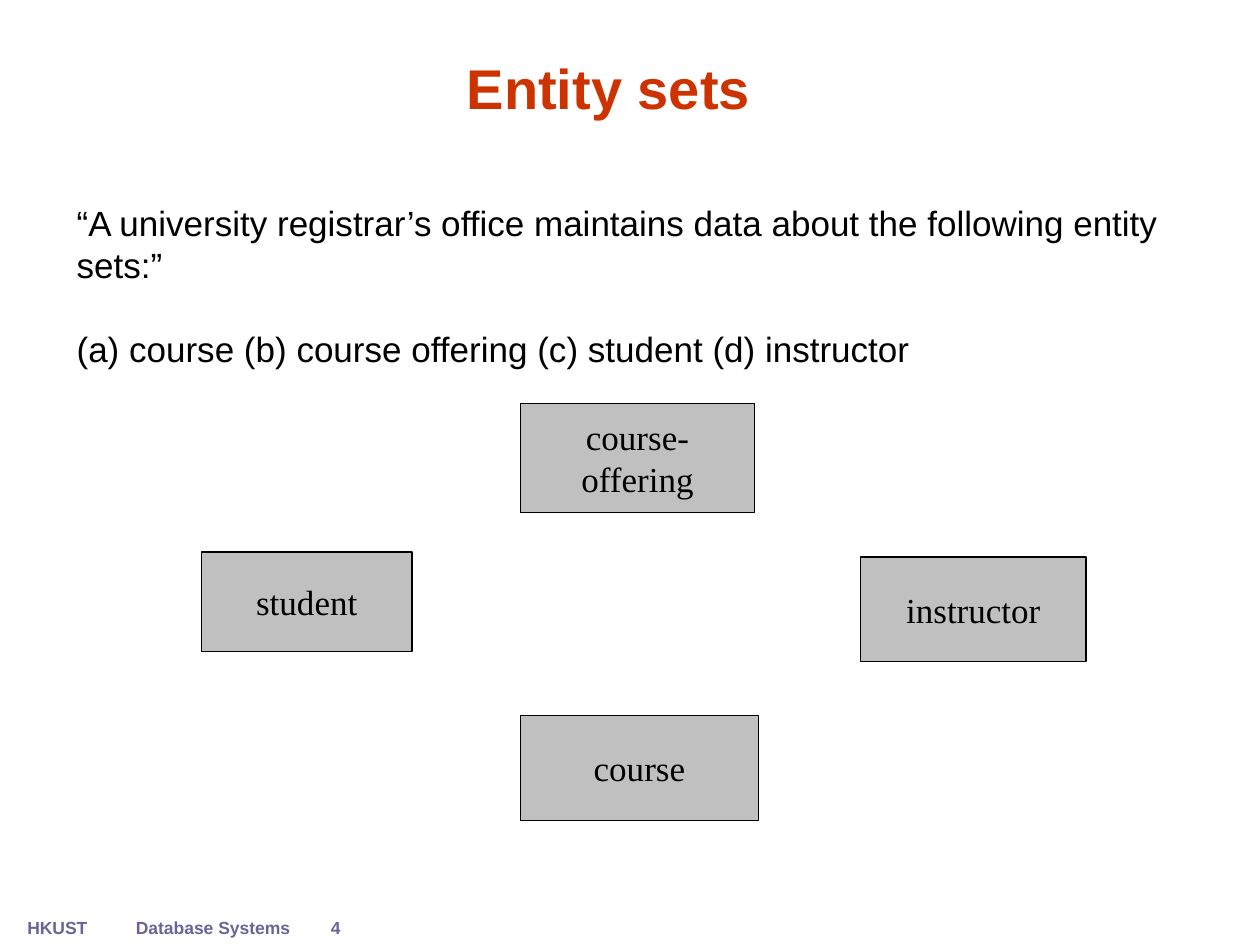
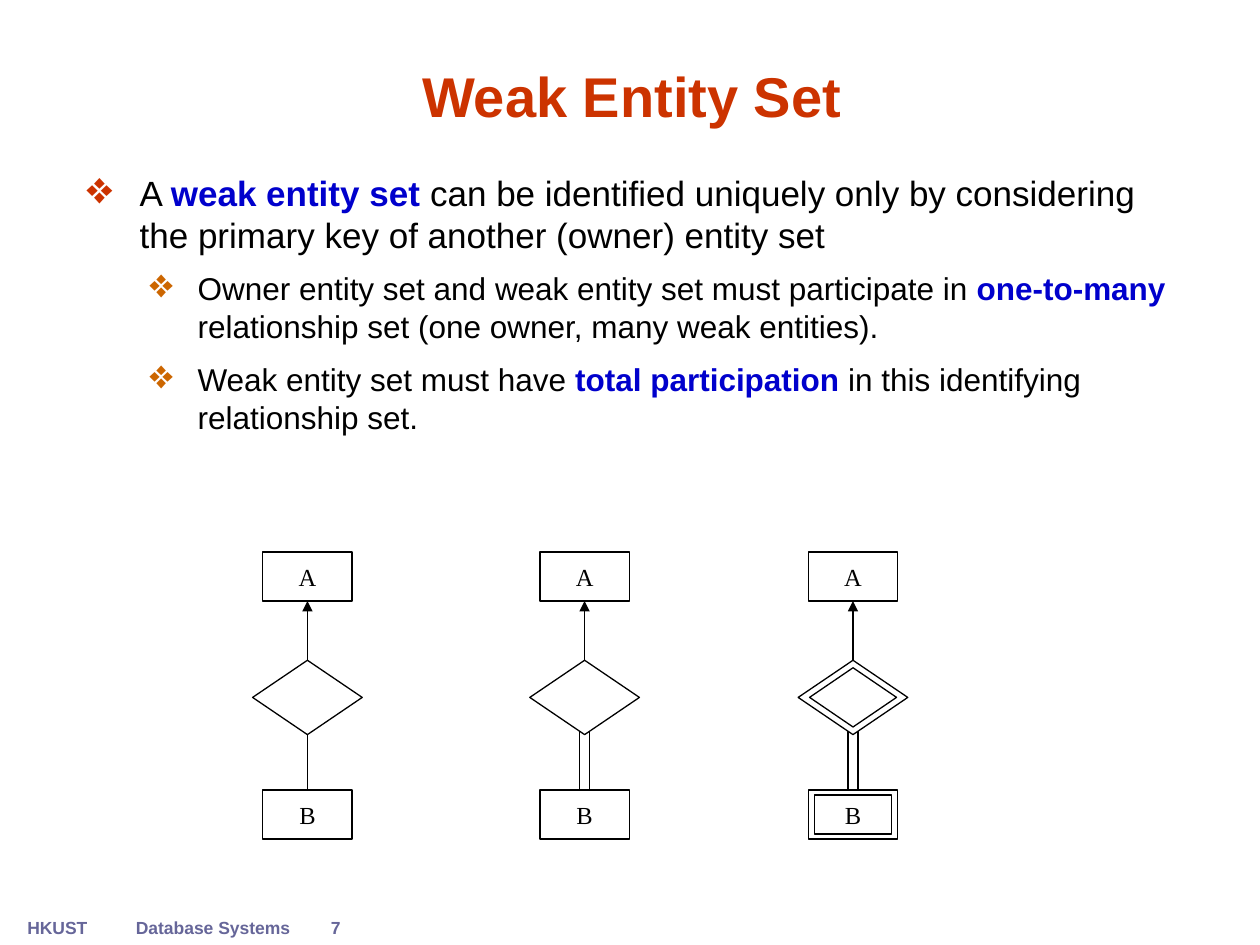
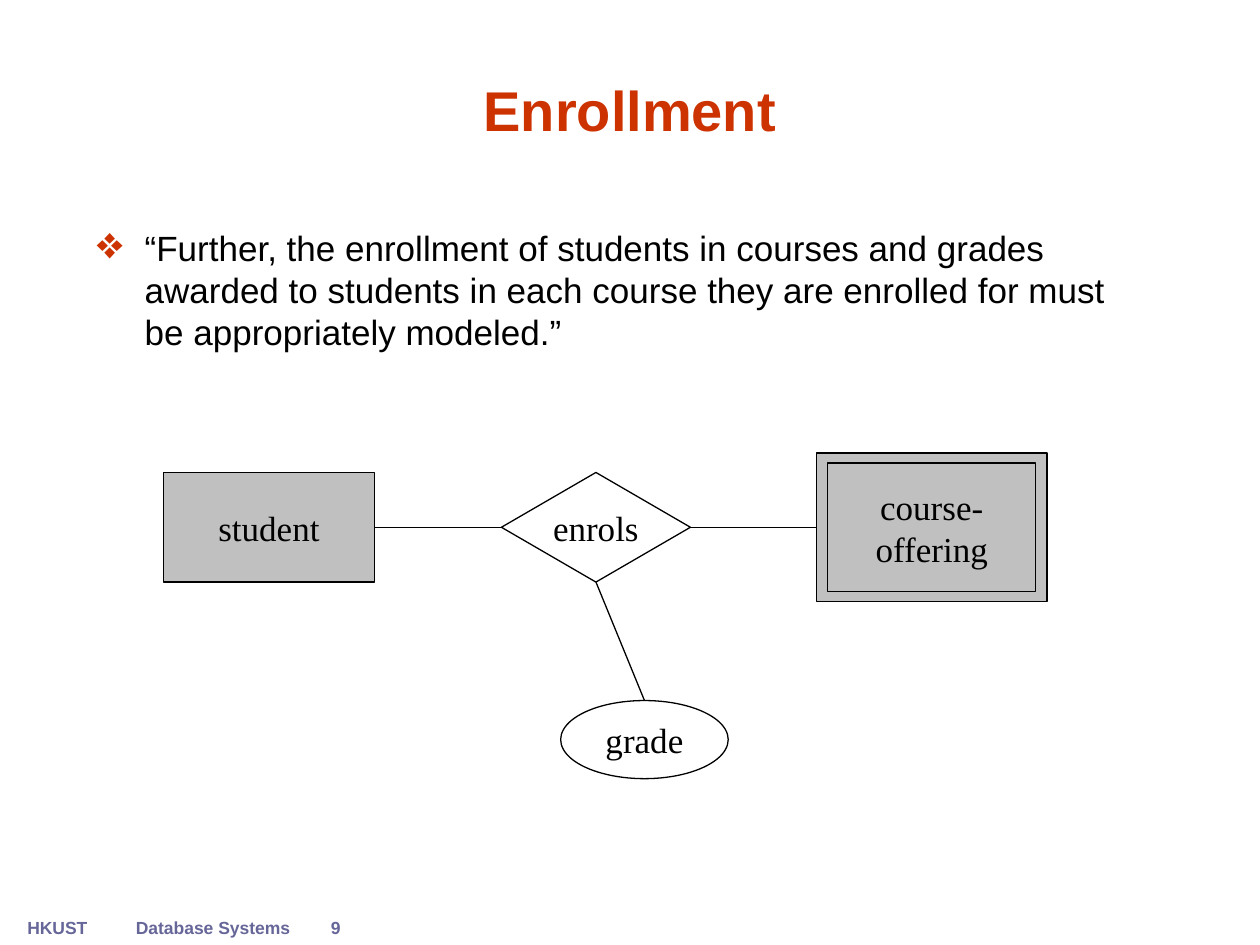
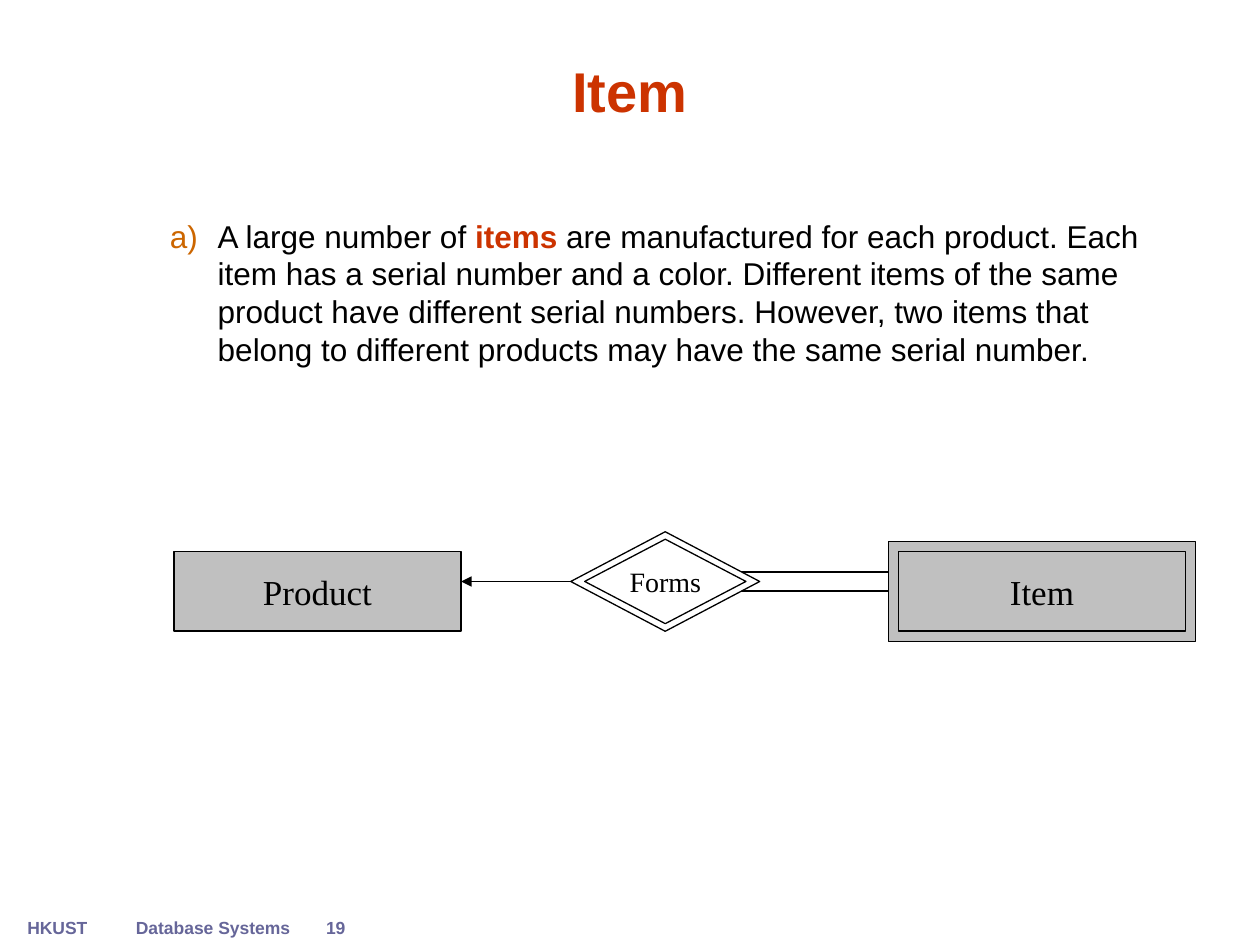
import dataclasses
from typing import NamedTuple, Optional

import pptx
import pptx.dml.color
import pptx.enum.shapes
import pptx.enum.text
import pptx.oxml.ns
import pptx.util
from lxml import etree

# Grid: 100 columns across and 75 rows down, in square cells
prs = pptx.Presentation()
prs.slide_width = pptx.util.Inches(10)
prs.slide_height = pptx.util.Inches(7.5)
CELL = prs.slide_width / 100

# Shared style
SANS, SERIF = "Arial", "Times New Roman"
BLACK, WHITE, GREY = "000000", "FFFFFF", "C0C0C0"
RED, ORANGE, BLUE, SLATE = "CC3300", "CC6600", "0000CC", "666699"
SHAPE = pptx.enum.shapes.MSO_SHAPE
ALIGN = pptx.enum.text.PP_ALIGN
ANCHOR = pptx.enum.text.MSO_ANCHOR
FIT = pptx.enum.text.MSO_AUTO_SIZE
TOP, LEFT, BOTTOM, RIGHT = range(4)


class Box(NamedTuple):
    x: float
    y: float
    w: float
    h: float

    def inset(self, dx: float, dy: float) -> "Box":
        return Box(self.x + dx, self.y + dy, self.w - 2 * dx, self.h - 2 * dy)


class Run(NamedTuple):
    text: str
    color: str = BLACK
    bold: bool = False


class Bullet(NamedTuple):
    tag: str
    attrs: dict
    color: str
    margin: float
    hang: float
    level: int = 0
    percent: int = 130


@dataclasses.dataclass
class Para:
    runs: list[Run]
    size: float = 20
    before: float = 0
    bullet: Optional[Bullet] = None


@dataclasses.dataclass
class Node:
    box: Box
    text: str = ""
    kind: int = SHAPE.RECTANGLE
    fill: Optional[str] = WHITE
    size: float = 20
    wrap: bool = False


DIAMOND_CHAR = {"char": "❖"}
MAIN = Bullet("a:buChar", DIAMOND_CHAR, RED, 4.2, 4.2)
NARROW = MAIN._replace(margin=3.8, hang=3.8)
SUB = Bullet("a:buChar", DIAMOND_CHAR, ORANGE, 8.8, 3.8, 1)
LETTER = SUB._replace(tag="a:buAutoNum", attrs={"type": "alphaLcParenR"}, percent=100)


def cells(*values: float) -> list[pptx.util.Emu]:
    return [pptx.util.Emu(round(v * CELL)) for v in values]


def rgb(color: str) -> pptx.dml.color.RGBColor:
    return pptx.dml.color.RGBColor.from_string(color)


def child(parent, tag: str, **attrs: str):
    return etree.SubElement(parent, pptx.oxml.ns.qn(tag), attrs)


# Text
def write(p, text: str, *, size: float, font: str = SANS, color: str = BLACK,
          bold: bool = False, align=None) -> None:
    if align is not None:
        p.alignment = align
    for i, line in enumerate(text.split("\n")):
        if i:
            p.add_line_break()
        r = p.add_run()
        r.text = line
        r.font.size, r.font.name, r.font.bold = pptx.util.Pt(size), font, bold
        r.font.color.rgb = rgb(color)


def add_bullet(p, bullet: Bullet) -> None:
    p.level = bullet.level
    margin, hang = cells(bullet.margin, bullet.hang)
    pPr = p._p.get_or_add_pPr()
    pPr.set("marL", str(margin))
    pPr.set("indent", str(-hang))
    child(child(pPr, "a:buClr"), "a:srgbClr", val=bullet.color)
    child(pPr, "a:buSzPct", val=str(bullet.percent * 1000))
    child(pPr, bullet.tag, **bullet.attrs)


def add_text_box(s, box: Box, wrap: bool = True):
    tf = s.shapes.add_textbox(*cells(*box)).text_frame
    tf.word_wrap = wrap
    tf.auto_size = FIT.NONE if wrap else FIT.SHAPE_TO_FIT_TEXT
    return tf


def add_body(s, box: Box, paras: list[Para]) -> None:
    tf = add_text_box(s, box)
    for i, para in enumerate(paras):
        p = tf.add_paragraph() if i else tf.paragraphs[0]
        if para.bullet:
            add_bullet(p, para.bullet)
        if para.before:
            p.space_before = pptx.util.Pt(para.before)
        for run in para.runs:
            write(p, run.text, size=para.size, color=run.color, bold=run.bold)


# Slide with title and footer
def add_slide(title: str, box: Box, number: int):
    s = prs.slides.add_slide(prs.slide_layouts[5])
    sp = s.shapes.title
    sp.left, sp.top, sp.width, sp.height = cells(*box)
    tf = sp.text_frame
    tf.vertical_anchor = ANCHOR.BOTTOM
    tf.auto_size = FIT.NONE
    write(tf.paragraphs[0], title, size=32, color=RED, bold=True, align=ALIGN.CENTER)
    for text, x, w, align in (("HKUST", 0.9, 7.3, ALIGN.CENTER),
                              ("Database Systems", 9.8, 14.2, ALIGN.LEFT),
                              (str(number), 22.3, 8.7, ALIGN.CENTER)):
        tf = add_text_box(s, Box(x, 72.3, w, 2.7), wrap=False)
        write(tf.paragraphs[0], text, size=10, color=SLATE, bold=True, align=align)
    return s


# Diagram parts
def add_node(s, node: Node):
    sp = s.shapes.add_shape(node.kind, *cells(*node.box))
    sp.shadow.inherit = False
    if node.fill:
        sp.fill.solid()
        sp.fill.fore_color.rgb = rgb(node.fill)
    else:
        sp.fill.background()
    sp.line.color.rgb = rgb(BLACK)
    sp.line.width = pptx.util.Pt(0.75)
    if node.text:
        tf = sp.text_frame
        tf.word_wrap = node.wrap
        tf.vertical_anchor = ANCHOR.MIDDLE
        write(tf.paragraphs[0], node.text, size=node.size, font=SERIF, align=ALIGN.CENTER)
    return sp


def add_double(s, node: Node, dx: float, dy: float):
    """Draw a double outline with the text inside; return the outer shape."""
    outer = add_node(s, dataclasses.replace(node, text=""))
    add_node(s, dataclasses.replace(node, box=node.box.inset(dx, dy)))
    return outer


def add_line(s, x1: float = 0, y1: float = 0, x2: float = 0, y2: float = 0,
             arrow: bool = False):
    kind = pptx.enum.shapes.MSO_CONNECTOR.STRAIGHT
    line = s.shapes.add_connector(kind, *cells(x1, y1, x2, y2))
    line.line.color.rgb = rgb(BLACK)
    line.line.width = pptx.util.Pt(0.75)
    if arrow:
        child(line.line._get_or_add_ln(), "a:tailEnd", type="triangle")
    child(line._element.spPr, "a:effectLst")
    return line


def join(s, start, start_side: int, end, end_side: int, arrow: bool = False) -> None:
    line = add_line(s, arrow=arrow)
    line.begin_connect(start, start_side)
    line.end_connect(end, end_side)


def build_entity_sets() -> None:
    s = add_slide("Entity sets", Box(5.8, 1.3, 85, 8.8), 4)
    add_body(s, Box(5.1, 15.5, 93.3, 14.4), [
        Para([Run("“A university registrar’s office maintains data about the "
                  "following entity sets:”")]),
        Para([Run("(a) course (b) course offering (c) student (d) instructor")], before=24),
    ])
    for text, box in (("course", Box(41.3, 56.8, 18.9, 8.3)),
                      ("course-offering", Box(41.3, 32, 18.6, 8.7)),
                      ("student", Box(16, 43.8, 16.7, 7.9)),
                      ("instructor", Box(68.3, 44.2, 17.9, 8.3))):
        add_node(s, Node(box, text, SHAPE.FLOWCHART_PROCESS, GREY, wrap=True))


def build_weak_entity_set() -> None:
    s = add_slide("Weak Entity Set", Box(6, 0.7, 88.3, 10), 7)
    add_body(s, Box(5.9, 13.1, 88.6, 51.2), [
        Para([Run("A "), Run("weak entity set", BLUE, True),
              Run(" can be identified uniquely only by considering the primary key "
                  "of another (owner) entity set")], bullet=MAIN),
        Para([Run("Owner entity set and weak entity set must participate in "),
              Run("one-to-many ", BLUE, True),
              Run("relationship set (one owner, many weak entities).")],
             size=18, before=7.9, bullet=SUB),
        Para([Run("Weak entity set must have "), Run("total participation", BLUE, True),
              Run(" in this identifying relationship set.")],
             size=18, before=8.8, bullet=SUB),
    ])

    # Plain, total participation, and weak entity with identifying relationship
    for center, tie_top, weak in ((24.4, None, False), (46.4, 57.2, False), (67.7, 58, True)):
        if tie_top:
            for x in (center - 0.4, center + 0.4):
                add_line(s, x, tie_top + 8.6, x, tie_top)
        owner = Node(Box(center - 3.55, 43.8, 7.1, 3.9), "A", size=14)
        member = dataclasses.replace(owner, box=owner.box._replace(y=62.7), text="B")
        relation = Node(Box(center - 4.35, 52.4, 8.7, 5.9), kind=SHAPE.DIAMOND)
        a = add_node(s, owner)
        if weak:
            add_double(s, member, 0.5, 0.4)
            diamond = add_double(s, relation, 0.9, 0.6)
        else:
            b, diamond = add_node(s, member), add_node(s, relation)
        join(s, diamond, TOP, a, BOTTOM, arrow=True)
        if not tie_top:
            join(s, diamond, BOTTOM, b, TOP)


def build_enrollment() -> None:
    s = add_slide("Enrollment", Box(7.5, 1.3, 85, 10.5), 9)
    add_body(s, Box(6.7, 17.5, 85, 45), [
        Para([Run("“Further, the enrollment of students in courses and grades awarded to "
                  "students in each course they are enrolled for must be appropriately "
                  "modeled.”")], bullet=NARROW),
    ])
    offering = add_double(s, Node(Box(64.8, 35.95, 18.3, 11.8), "course-\noffering",
                                  fill=GREY), 0.9, 0.8)
    student = add_node(s, Node(Box(13, 37.5, 16.7, 8.7), "student",
                               SHAPE.FLOWCHART_PROCESS, GREY))
    enrols = add_node(s, Node(Box(39.8, 37.5, 15, 8.7), "enrols", SHAPE.FLOWCHART_DECISION))
    grade = add_node(s, Node(Box(44.5, 55.6, 13.3, 6.2), "grade", SHAPE.OVAL, None))
    join(s, student, RIGHT, enrols, LEFT)
    join(s, enrols, RIGHT, offering, LEFT)
    join(s, enrols, BOTTOM, grade, TOP)


def build_item() -> None:
    s = add_slide("Item", Box(7.5, 0.5, 85, 9.8), 19)
    add_body(s, Box(7.5, 16.7, 85, 16.1), [
        Para([Run("A large number of "), Run("items", RED, True),
              Run(" are manufactured for each product. Each item has a serial number and "
                  "a color. Different items of the same product have different serial "
                  "numbers. However, two items that belong to different products may have "
                  "the same serial number.")], size=18, bullet=LETTER),
    ])
    add_double(s, Node(Box(70.5, 43, 24.4, 7.9), "Item", fill=GREY), 0.8, 0.8)
    product = Box(13.8, 43.8, 22.8, 6.3)
    add_node(s, Node(product, "Product", fill=GREY))
    for y in (45.4, 46.9):
        add_line(s, 58.7, y, 70.5, y)
    diamond = Box(45.3, 42.2, 15, 7.9)
    forms = add_double(s, Node(diamond, "Forms", SHAPE.DIAMOND, size=16), 1.1, 0.6)

    # The arrow stays level, so it meets Product above the middle of its side
    middle = diamond.y + diamond.h / 2
    arrow = add_line(s, diamond.x, middle, product.x + product.w, middle, arrow=True)
    arrow.begin_connect(forms, LEFT)


def main() -> None:
    build_entity_sets()
    build_weak_entity_set()
    build_enrollment()
    build_item()
    prs.save("out.pptx")


if __name__ == "__main__":
    main()
